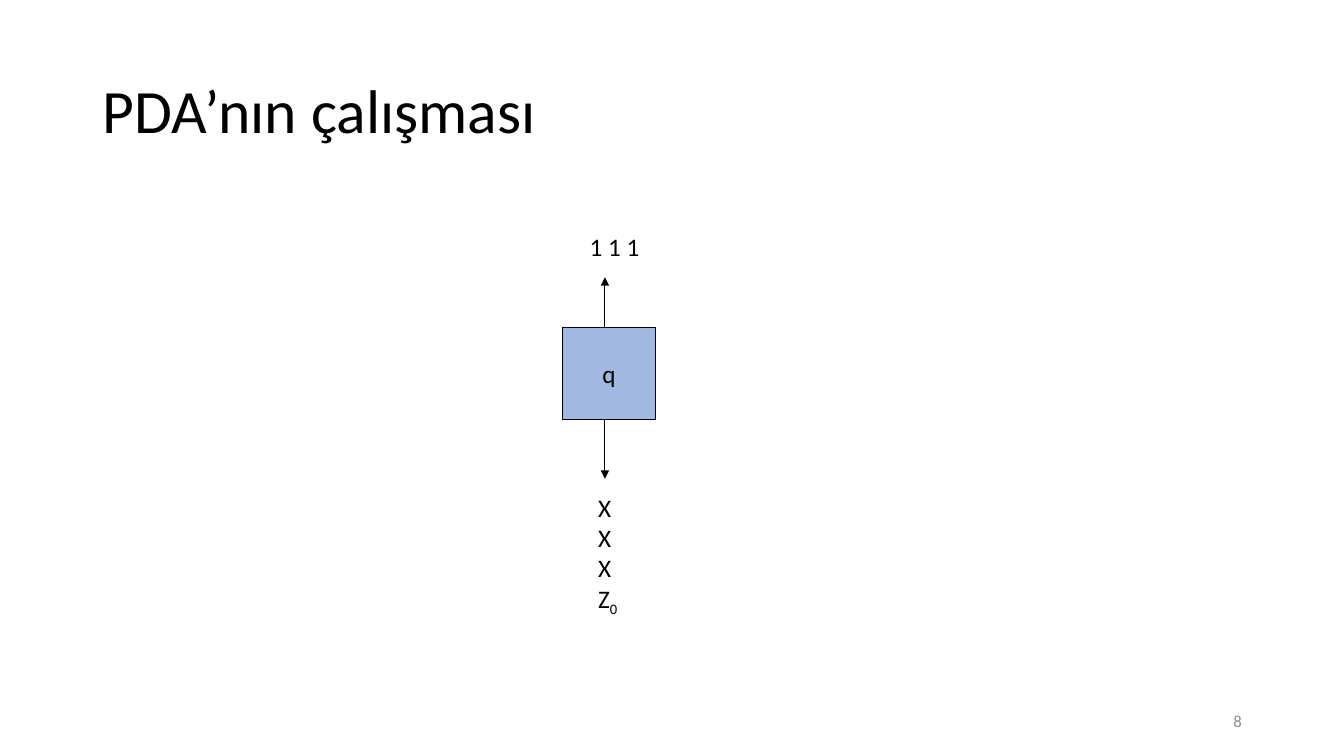
from lxml.etree import SubElement
from pptx import Presentation
from pptx.dml.color import RGBColor
from pptx.enum.shapes import MSO_CONNECTOR as Connector, MSO_SHAPE as Shape
from pptx.enum.text import MSO_ANCHOR as Anchor, MSO_AUTO_SIZE as AutoSize, PP_ALIGN as Align
from pptx.oxml.ns import qn
from pptx.util import Inches, Pt

COLORS = {"ink": "000000", "state": "4472C4", "number": "8C8C8C"}

deck = Presentation()
deck.slide_width, deck.slide_height = Inches(13.33), Inches(7.5)
page = deck.slides.add_slide(deck.slide_layouts[6])
unit = deck.slide_height / 90


def grid(*counts):
    return [round(count * unit) for count in counts]


def write(box, text, size=18, color="ink", align=Align.LEFT, anchor=Anchor.TOP,
          wrap=False, grow=False, spacing=None, subscript=""):
    frame = box.text_frame
    frame.word_wrap = wrap
    frame.auto_size = AutoSize.SHAPE_TO_FIT_TEXT if grow else AutoSize.NONE
    frame.vertical_anchor = anchor
    frame.text = text
    if subscript:
        span = frame.paragraphs[-1].add_run()
        span.text = subscript
        span.font._element.set("baseline", "-25000")
    for para in frame.paragraphs:
        para.alignment = align
        para.line_spacing = spacing
        for span in para.runs:
            span.font.name = "Calibri"
            span.font.size = Pt(size)
            span.font.color.rgb = RGBColor.from_string(COLORS[color])


title = page.shapes.add_textbox(*grid(11, 4.8, 138, 17.4))
write(title, "PDA’nın çalışması", size=44, anchor=Anchor.MIDDLE, wrap=True, spacing=0.9)

number = page.shapes.add_textbox(*grid(113, 83.4, 36, 4.8))
write(number, "8", size=12, color="number", align=Align.RIGHT, anchor=Anchor.MIDDLE, wrap=True)

state = page.shapes.add_shape(Shape.RECTANGLE, *grid(67, 39, 11, 11))
state.shadow.inherit = False
state.fill.solid()
state.fill.fore_color.rgb = RGBColor.from_string(COLORS["state"])
state_color = state.fill._xPr.find(".//" + qn("a:srgbClr"))
SubElement(state_color, qn("a:alpha"), val="50000")
state.line.color.rgb = RGBColor.from_string(COLORS["ink"])
state.line.width = Pt(0.75)
write(state, "q", align=Align.CENTER, anchor=Anchor.MIDDLE)

tape = page.shapes.add_textbox(*grid(69, 27, 8.4, 4.8))
write(tape, "1 1 1", grow=True)

stack = page.shapes.add_textbox(*grid(70, 58, 4.9, 15.7))
write(stack, "X\nX\nX\nZ", grow=True, subscript="0")

for start, end in ((39, 33), (50, 57)):
    arrow = page.shapes.add_connector(Connector.STRAIGHT, *grid(72, start, 72, end))
    arrow.line.color.rgb = RGBColor.from_string(COLORS["ink"])
    arrow.line.width = Pt(0.75)
    SubElement(arrow.line._get_or_add_ln(), qn("a:tailEnd"), type="triangle")
    SubElement(arrow._element.spPr, qn("a:effectLst"))

deck.save("out.pptx")
